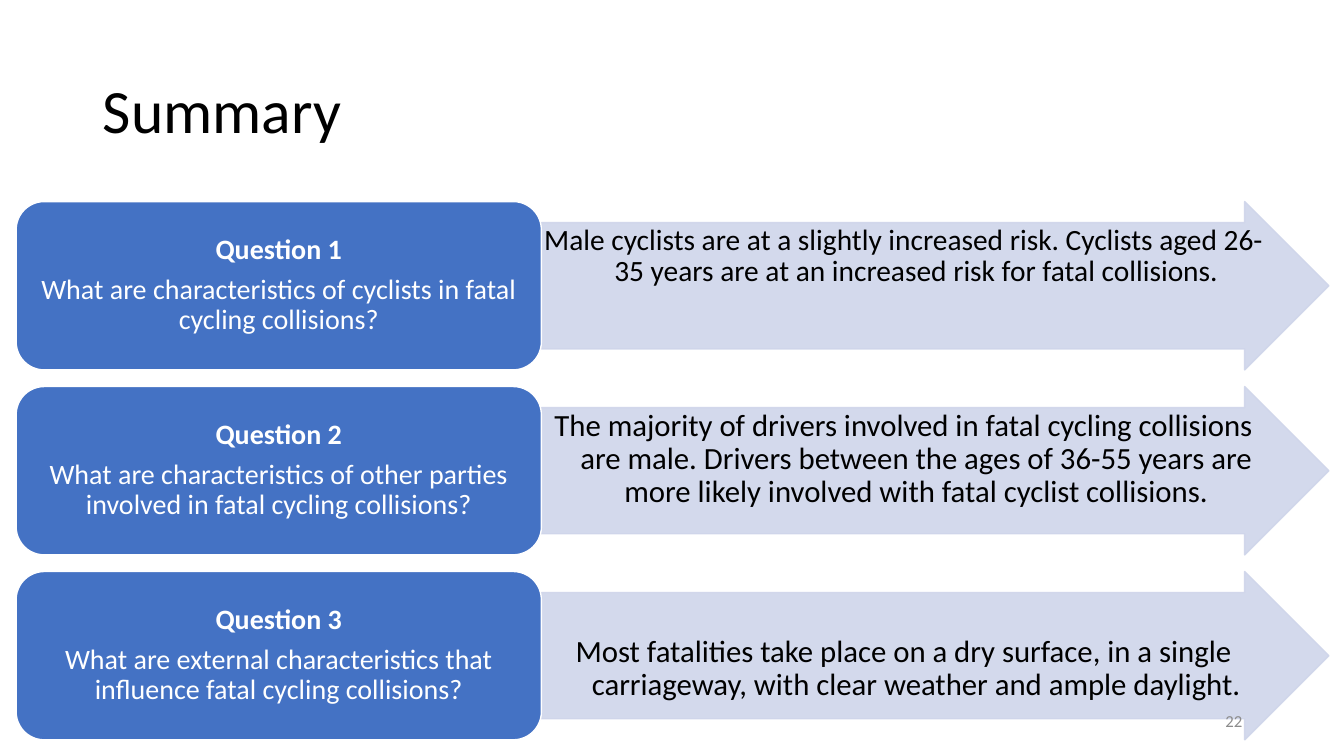
from pptx import Presentation
from pptx import util as u
from pptx.dml.color import RGBColor
from pptx.enum import shapes, text
from pptx.oxml.ns import qn
from lxml import etree

TITLE = "Summary"
PAGE = "22"
FINDINGS = [
    {"question": "Question 1",
     "detail": "What are characteristics of cyclists in fatal cycling collisions?",
     "answer": "Male cyclists are at a slightly increased risk. Cyclists aged 26-35 years "
               "are at an increased risk for fatal collisions.",
     "size": 21, "drop": 0.02},
    {"question": "Question 2",
     "detail": "What are characteristics of other parties involved in fatal cycling collisions?",
     "answer": "The majority of drivers involved in fatal cycling collisions are male. "
               "Drivers between the ages of 36-55 years are more likely involved with "
               "fatal cyclist collisions.",
     "size": 22, "drop": 0.02},
    {"question": "Question 3",
     "detail": "What are external characteristics that influence fatal cycling collisions?",
     "answer": "Most fatalities take place on a dry surface, in a single carriageway, "
               "with clear weather and ample daylight.",
     "size": 22, "drop": 0.43},
]
COLORS = {"ink": "000000", "white": "FFFFFF", "box": "4472C4",
          "arrow": "CFD5EA", "page": "8C8C8C"}
FONT = "Calibri"
LEFT, TOP, PITCH, HEIGHT = 0.16, 2.0, 1.835, 1.67
BOX_WIDTH, ARROW_WIDTH = 5.21, 7.81


def color(name):
    return RGBColor.from_string(COLORS[name])


def style(paragraph, size, ink, align, bold=False, spacing=0.9):
    paragraph.alignment = align
    paragraph.line_spacing = spacing
    for run in paragraph.runs:
        run.font.name = FONT
        run.font.size = u.Pt(size)
        run.font.bold = bold
        run.font.color.rgb = color(ink)


def set_frame(frame, anchor, margins):
    frame.word_wrap = True
    frame.vertical_anchor = anchor
    (frame.margin_left, frame.margin_top,
     frame.margin_right, frame.margin_bottom) = [u.Inches(m) for m in margins]


def add_block(slide, kind, left, top, width, fill, line):
    block = slide.shapes.add_shape(kind, u.Inches(left), u.Inches(top),
                                   u.Inches(width), u.Inches(HEIGHT))
    block.shadow.inherit = False
    block.fill.solid()
    block.fill.fore_color.rgb = color(fill)
    block.line.color.rgb = color(line)
    block.line.width = u.Pt(1)
    return block


def add_answer(slide, finding, top):
    arrow = add_block(slide, shapes.MSO_SHAPE.RIGHT_ARROW, LEFT + BOX_WIDTH, top,
                      ARROW_WIDTH, "arrow", "arrow")
    arrow.adjustments[0], arrow.adjustments[1] = 0.75, 0.5
    for tint in arrow._element.spPr.iter(qn("a:srgbClr")):
        etree.SubElement(tint, qn("a:alpha"), val="90000")
    frame = arrow.text_frame
    set_frame(frame, text.MSO_ANCHOR.TOP, (0.02, finding["drop"], 0.02, 0.02))
    frame.text = finding["answer"]
    answer = frame.paragraphs[0]
    indent = answer._p.get_or_add_pPr()
    indent.set("marL", str(u.Inches(0.25)))
    indent.set("indent", str(-u.Inches(0.25)))
    style(answer, finding["size"], "ink", text.PP_ALIGN.CENTER)


def add_question(slide, finding, top):
    box = add_block(slide, shapes.MSO_SHAPE.ROUNDED_RECTANGLE, LEFT, top,
                    BOX_WIDTH, "box", "white")
    frame = box.text_frame
    set_frame(frame, text.MSO_ANCHOR.MIDDLE, (0.08, 0.04, 0.08, 0.04))
    frame.text = finding["question"]
    heading, detail = frame.paragraphs[0], frame.add_paragraph()
    detail.text = finding["detail"]
    style(heading, 20, "white", text.PP_ALIGN.CENTER, bold=True)
    heading.space_after = u.Pt(7)
    style(detail, 20, "white", text.PP_ALIGN.CENTER)


def main():
    deck = Presentation()
    deck.slide_width, deck.slide_height = u.Inches(13.33), u.Inches(7.5)
    slide = deck.slides.add_slide(deck.slide_layouts[5])

    title = slide.shapes.title
    title.left, title.top = u.Inches(0.92), u.Inches(0.4)
    title.width, title.height = u.Inches(11.5), u.Inches(1.45)
    set_frame(title.text_frame, text.MSO_ANCHOR.MIDDLE, (0.1, 0.05, 0.1, 0.05))
    title.text_frame.text = TITLE
    style(title.text_frame.paragraphs[0], 44, "ink", text.PP_ALIGN.LEFT)

    for row, finding in enumerate(FINDINGS):
        top = TOP + row * PITCH
        add_answer(slide, finding, top)
        add_question(slide, finding, top)

    page = slide.shapes.add_textbox(u.Inches(9.42), u.Inches(6.95),
                                    u.Inches(3), u.Inches(0.4))
    set_frame(page.text_frame, text.MSO_ANCHOR.MIDDLE, (0.1, 0.05, 0.1, 0.05))
    page.text_frame.text = PAGE
    style(page.text_frame.paragraphs[0], 12, "page", text.PP_ALIGN.RIGHT, spacing=1.0)

    deck.save("out.pptx")


if __name__ == "__main__":
    main()
